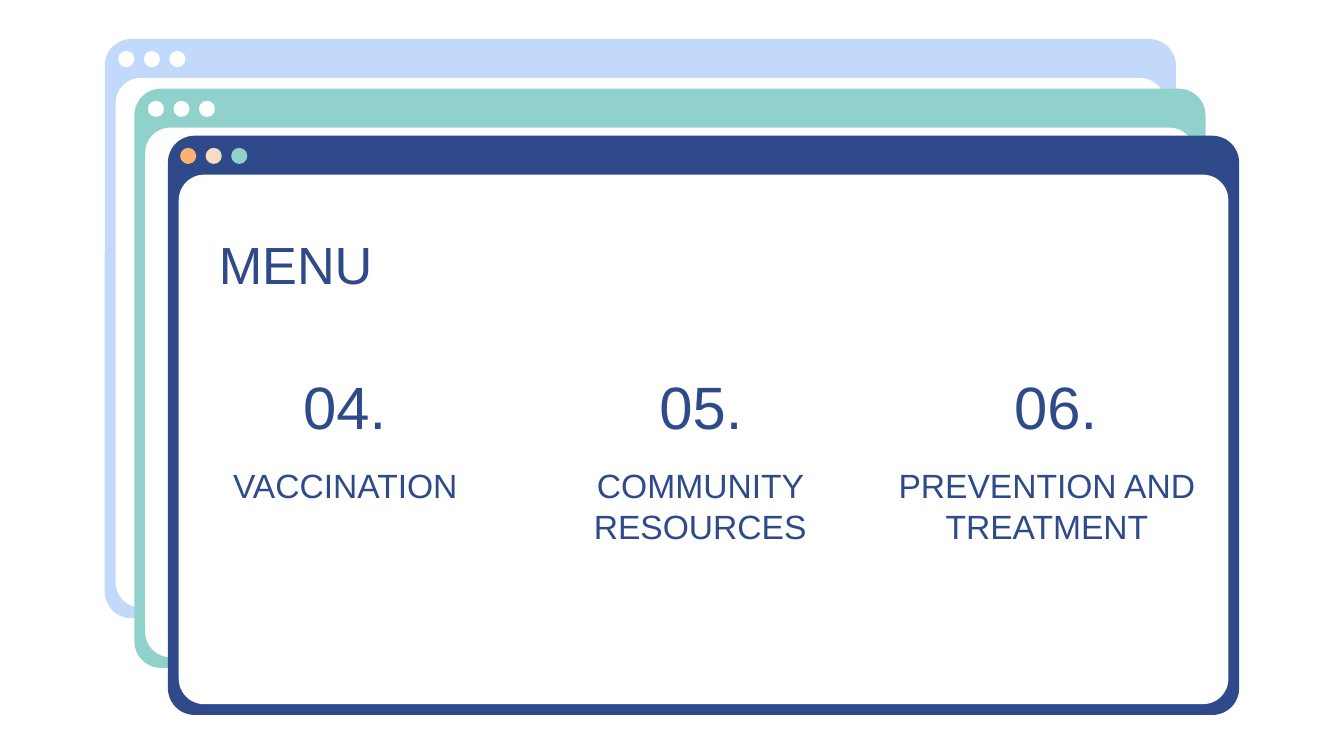
from pptx import Presentation
from pptx.dml.color import RGBColor
from pptx.enum.shapes import MSO_SHAPE
from pptx.enum.text import MSO_ANCHOR, PP_ALIGN
from pptx.util import Inches, Pt

ROUND, OVAL = MSO_SHAPE.ROUNDED_RECTANGLE, MSO_SHAPE.OVAL
LEFT, CENTER, TOP = PP_ALIGN.LEFT, PP_ALIGN.CENTER, MSO_ANCHOR.TOP

NAVY, TEAL, SKY, WHITE = "2F4A8A", "90D1CB", "C3D9FB", "FFFFFF"
ORANGE, CREAM = "FFB172", "F8DBC4"
FONT = "Arial"
LEADING = 1.22

# left, top, frame colour, dot inset, dot colours; back to front
WINDOWS = [
    (0.78, 0.29, SKY, 0.1, [WHITE] * 3),
    (1.0, 0.66, TEAL, 0.1, [WHITE] * 3),
    (1.25, 1.01, NAVY, 0.09, [ORANGE, CREAM, TEAL]),
]

# number, number left, label, label left, label width
ITEMS = [
    ("04.", 0.54, "VACCINATION", 0, 2.08),
    ("05.", 3.19, "COMMUNITY RESOURCES", 2.64, 2.08),
    ("06.", 5.83, "PREVENTION AND TREATMENT", 4.96, 2.6),
]


def color(code):
    return RGBColor.from_string(code)


def add_form(slide, kind, x, y, w, h, fill, adj=None):
    form = slide.shapes.add_shape(kind, Inches(x), Inches(y), Inches(w), Inches(h))
    form.shadow.inherit = False
    form.fill.solid()
    form.fill.fore_color.rgb = color(fill)
    form.line.fill.background()
    if adj is not None:
        form.adjustments[0] = adj


def add_text(slide, text, x, y, w, h, size, align=CENTER):
    box = slide.shapes.add_textbox(Inches(x), Inches(y), Inches(w), Inches(h))
    frame = box.text_frame
    frame.word_wrap = True
    frame.vertical_anchor = TOP
    frame.margin_left = frame.margin_right = Inches(0.1)
    frame.margin_top = frame.margin_bottom = Inches(0.1)
    para = frame.paragraphs[0]
    para.alignment = align
    para.line_spacing = Pt(round(size * LEADING))
    run = para.add_run()
    run.text = text
    run.font.size = Pt(size)
    run.font.name = FONT
    run.font.color.rgb = color(NAVY)


def add_window(slide, x, y, fill, inset, dots):
    # Frame and page
    add_form(slide, ROUND, x, y, 7.97, 4.31, fill, 0.046)
    add_form(slide, ROUND, x + 0.08, y + 0.29, 7.81, 3.94, WHITE, 0.048)
    # Title bar dots
    for i, dot in enumerate(dots):
        add_form(slide, OVAL, x + inset + 0.19 * i, y + 0.09, 0.12, 0.12, dot)


def add_menu(slide, x, y):
    # Heading
    add_text(slide, "MENU", x, y, 7.44, 0.51, 28, LEFT)
    # Labels
    for _, _, label, left, width in ITEMS:
        add_text(slide, label, x + left, y + 1.73, width, 0.51, 18)
    # Numbers
    for num, left, _, _, _ in ITEMS:
        add_text(slide, num, x + left, y + 1.02, 0.99, 0.64, 32)


def main():
    deck = Presentation()
    deck.slide_width = Inches(10)
    deck.slide_height = Inches(10) * 9 // 16
    slide = deck.slides.add_slide(deck.slide_layouts[6])
    for window in WINDOWS:
        add_window(slide, *window)
    add_menu(slide, 1.53, 1.62)
    deck.save("out.pptx")


if __name__ == "__main__":
    main()
